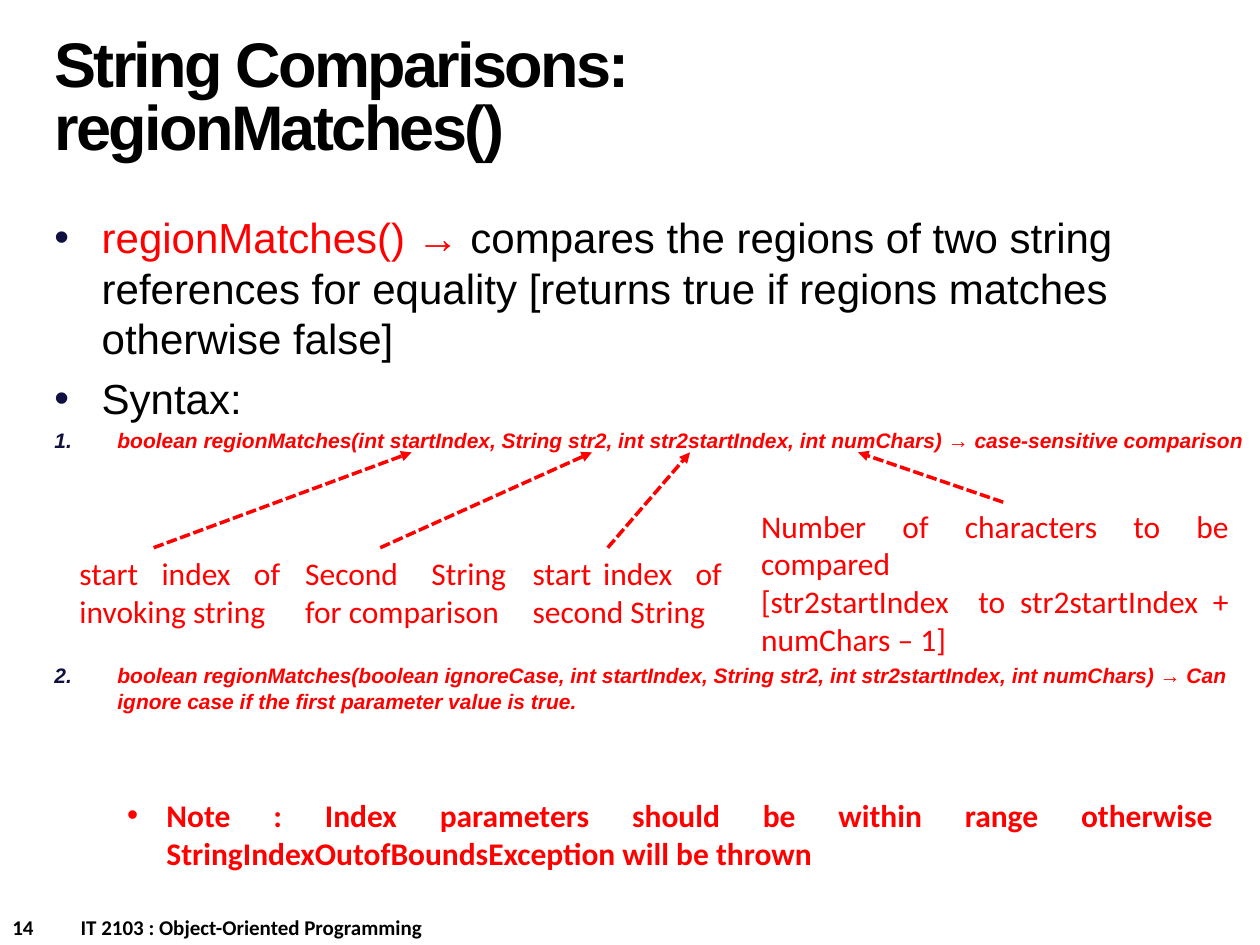
from lxml import etree
from pptx import Presentation
from pptx.dml.color import RGBColor
from pptx.enum import dml, shapes, text
from pptx.oxml import ns
from pptx.util import Pt

RED = RGBColor(0xFF, 0x00, 0x00)
BLACK = RGBColor(0x00, 0x00, 0x00)
NAVY = RGBColor(0x10, 0x11, 0x41)
JUSTIFY = text.PP_ALIGN.JUSTIFY


def add_child(parent, tag, **attributes):
    """Append a DrawingML element and return it."""
    child = etree.SubElement(parent, ns.qn("a:" + tag))
    for name, value in attributes.items():
        child.set(name, str(value))
    return child


def add_box(slide, box, anchor=text.MSO_ANCHOR.TOP):
    """Add an empty wrapping text box and return its text frame."""
    frame = slide.shapes.add_textbox(*[Pt(value) for value in box]).text_frame
    frame.word_wrap = True
    frame.vertical_anchor = anchor
    return frame


def write(frame, content, size=18, font="Calibri", color=RED, bold=False,
          italic=False, align=None, before=0, line=None, spacing=None,
          indent=0, bullet=None, number=None, bullet_color=RED):
    """Write one paragraph; content is a string or a list of (text, color)."""
    paragraph = frame.paragraphs[0]
    if paragraph.runs:
        paragraph = frame.add_paragraph()
    paragraph.alignment = align
    paragraph.space_before = Pt(before)
    if line:
        paragraph.line_spacing = Pt(line)
    if bullet or number:
        properties = paragraph._p.get_or_add_pPr()
        properties.set("marL", str(Pt(indent)))
        properties.set("indent", str(-Pt(indent)))
        add_child(add_child(properties, "buClr"), "srgbClr", val=bullet_color)
        add_child(properties, "buFont", typeface="Arial")
        if bullet:
            add_child(properties, "buChar", char=bullet)
        else:
            add_child(properties, "buAutoNum", type="arabicPeriod", startAt=number)
    parts = [(content, color)] if isinstance(content, str) else content
    for words, run_color in parts:
        run = paragraph.add_run()
        run.text = words
        run.font.size = Pt(size)
        run.font.name = font
        run.font.bold = bold
        run.font.italic = italic
        run.font.color.rgb = run_color
        if spacing:
            run._r.get_or_add_rPr().set("spc", str(int(spacing * 100)))


def add_arrow(slide, start, end):
    """Draw a dashed red arrow from start to end."""
    arrow = slide.shapes.add_connector(
        shapes.MSO_CONNECTOR.STRAIGHT, *[Pt(value) for value in start + end])
    arrow.line.color.rgb = RED
    arrow.line.width = Pt(2)
    arrow.line.dash_style = dml.MSO_LINE.SQUARE_DOT
    add_child(arrow.line._get_or_add_ln(), "tailEnd", type="triangle")
    add_child(arrow._element.spPr, "effectLst")


def add_title(slide, box):
    """Place the slide title."""
    frame = add_box(slide, box, text.MSO_ANCHOR.MIDDLE)
    write(frame, "String Comparisons: regionMatches()", size=36, font="Arial",
          color=BLACK, bold=True, line=36, spacing=-1.5)


def add_body(slide, box):
    """Place the explanation and the two numbered signatures."""
    frame = add_box(slide, box)
    point = dict(size=24, font="Arial", color=BLACK, before=5.5, indent=27,
                 bullet="•", bullet_color=NAVY)
    signature = dict(size=12, font="Arial", bold=True, italic=True, indent=36,
                     bullet_color=NAVY)
    write(frame, [("regionMatches() → ", RED),
                  ("compares the regions of two string references for equality "
                   "[returns true if regions matches otherwise false]", BLACK)],
          **point)
    write(frame, "Syntax:", **point)
    write(frame, "boolean regionMatches(int startIndex, String str2, "
          "int str2startIndex, int numChars) → case-sensitive comparison",
          number=1, before=2.8, **signature)
    write(frame, "boolean regionMatches(boolean ignoreCase, int startIndex, "
          "String str2, int str2startIndex, int numChars) → Can ignore case "
          "if the first parameter value is true.",
          number=2, before=120, **signature)


def add_parameters(slide, box):
    """Place the parameter captions, each with an arrow to the signature."""
    left, top, width, height = box
    caption_top = top + 54.5
    captions = [
        (0, 129, caption_top, 49.5, 147.4, ["start index of invoking string"]),
        (129, 129, caption_top, 50, 121, ["Second String for comparison"]),
        (259, 129, caption_top, 50, 47, ["start index  of  second String"]),
        (389.5, 281.5, top + 27.5, 145.5, -83,
         ["Number of characters to be compared",
          "[str2startIndex  to str2startIndex + numChars – 1]"]),
    ]
    for offset, caption_width, y, tail_offset, run, lines in captions:
        x = left + offset
        frame = add_box(slide, (x, y, caption_width, top + height - y))
        for words in lines:
            write(frame, words, align=JUSTIFY)
        tail = (x + tail_offset, min(caption_top, y + 1))
        add_arrow(slide, tail, (tail[0] + run, top))


def add_note(slide, box):
    """Place the closing note."""
    write(add_box(slide, box),
          "Note : Index parameters should be within range otherwise "
          "StringIndexOutofBoundsException will be thrown",
          bold=True, align=JUSTIFY, indent=22.5, bullet="•")


def add_footer(slide, box):
    """Place the slide number and the course name side by side."""
    left, top, width, height = box
    number_width = 39
    items = [("14", left, number_width),
             ("IT 2103 : Object-Oriented Programming", left + number_width,
              width - number_width)]
    for words, x, item_width in items:
        write(add_box(slide, (x, top, item_width, height)), words,
              size=12, color=BLACK, bold=True)


def main():
    """Build the slide and save it."""
    presentation = Presentation()
    presentation.slide_width = Pt(720)
    presentation.slide_height = Pt(540)
    slide = presentation.slides.add_slide(presentation.slide_layouts[6])
    add_footer(slide, (0, 519, 360, 21.6))
    add_body(slide, (24, 117.4, 696, 356.4))
    add_title(slide, (24, 12.2, 498, 90))
    add_parameters(slide, (38.3, 258.5, 671, 121.5))
    add_note(slide, (65.5, 451.4, 635, 51))
    presentation.save("out.pptx")


main()
